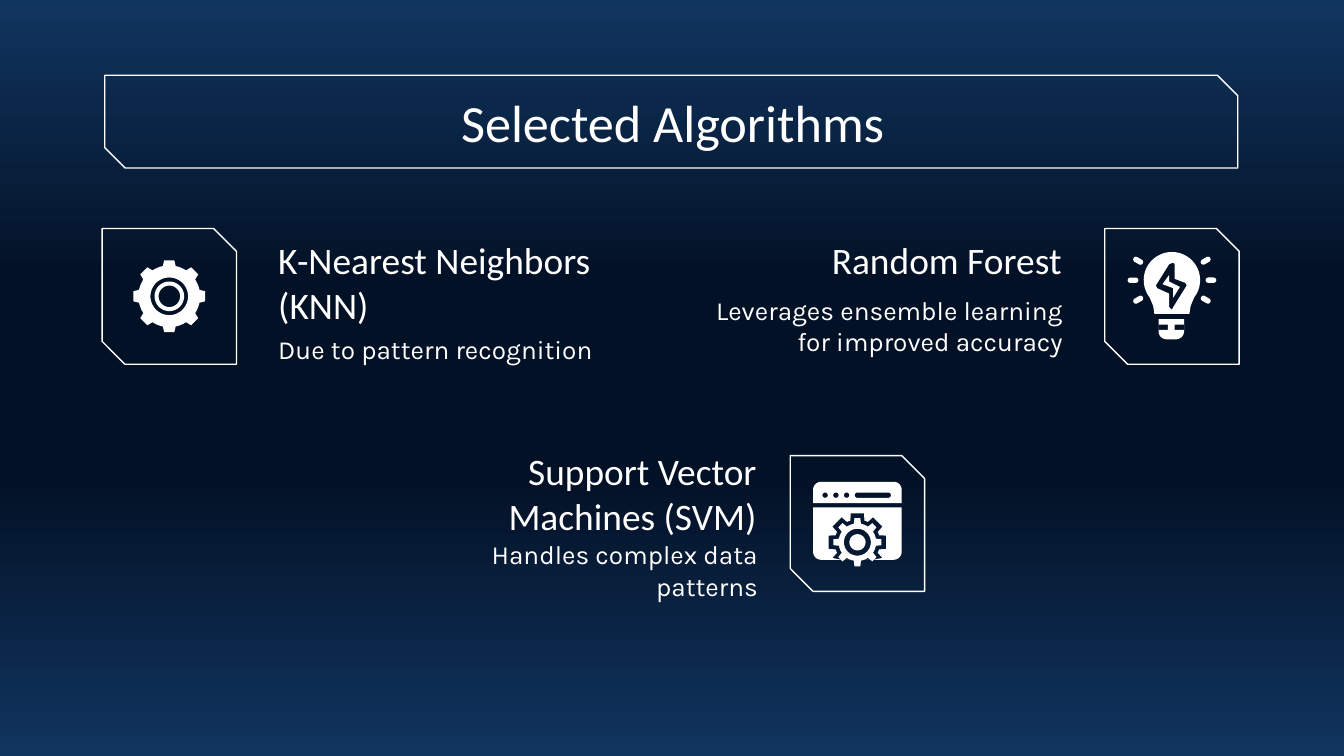
import copy
import math

import pptx
import pptx.dml.color
import pptx.enum.shapes
import pptx.enum.text
import pptx.oxml.ns
import pptx.util

Inches = pptx.util.Inches
Shape = pptx.enum.shapes.MSO_SHAPE
Anchor = pptx.enum.text.MSO_ANCHOR
Align = pptx.enum.text.PP_ALIGN

WHITE = pptx.dml.color.RGBColor(0xFF, 0xFF, 0xFF)
BLUE = pptx.dml.color.RGBColor(0x10, 0x35, 0x5F)
NAVY = pptx.dml.color.RGBColor(0x03, 0x11, 0x26)
PAGE_WIDTH = 10
PAGE_HEIGHT = PAGE_WIDTH * 9 / 16
FRAME_WIDTH, FRAME_HEIGHT = 1, 1.01


def add_text(page, box, text, font="Calibri", size=20, align=Align.LEFT,
             anchor=Anchor.TOP, side_inset=0):
    frame = page.shapes.add_textbox(*map(Inches, box)).text_frame
    frame.word_wrap = True
    frame.vertical_anchor = anchor
    frame.margin_left = frame.margin_right = Inches(side_inset)
    frame.margin_top = frame.margin_bottom = Inches(0.1)
    para = frame.paragraphs[0]
    para.alignment = align
    span = para.add_run()
    span.text = text
    span.font.name = font
    span.font.size = pptx.util.Pt(size)
    span.font.color.rgb = WHITE


def add_frame(page, box, snip):
    frame = page.shapes.add_shape(Shape.SNIP_2_DIAG_RECTANGLE, *map(Inches, box))
    frame.adjustments[0] = 0
    frame.adjustments[1] = snip
    frame.shadow.inherit = False
    frame.fill.background()
    frame.line.color.rgb = WHITE
    frame.line.width = pptx.util.Pt(0.75)


def fill_white(shape):
    shape.shadow.inherit = False
    shape.fill.solid()
    shape.fill.fore_color.rgb = WHITE
    shape.line.fill.background()


def add_outline(page, x, y, *contours):
    """Draw contours, given around (x, y), as one shape; inner contours are holes."""
    builder = None
    for contour in contours:
        points = [(Inches(x + dx), Inches(y + dy)) for dx, dy in contour]
        if builder is None:
            builder = page.shapes.build_freeform(*points[0])
        else:
            builder.move_to(*points[0])
        builder.add_line_segments(points[1:], close=True)
    fill_white(builder.convert_to_shape())


def polar(radius, degrees, y=0):
    angle = math.radians(degrees)
    return radius * math.cos(angle), y + radius * math.sin(angle)


def circle(radius, y=0):
    return [polar(radius, degrees, y) for degrees in range(0, 360, 6)]


def rounded_box(left, top, width, height, top_radius=0, bottom_radius=0):
    right, bottom = left + width, top + height
    corners = [(right, bottom, -1, -1, bottom_radius, 0),
               (left, bottom, 1, -1, bottom_radius, 90),
               (left, top, 1, 1, top_radius, 180),
               (right, top, -1, 1, top_radius, 270)]
    points = []
    for x, y, inward_x, inward_y, radius, start in corners:
        for degrees in range(start, start + 91, 15):
            dx, dy = polar(radius, degrees)
            points.append((x + inward_x * radius + dx, y + inward_y * radius + dy))
    return points


def gear(body, tip, body_half, tip_half, y=0):
    """Eight-tooth outline; the half widths of a tooth are in degrees."""
    points = []
    for middle in range(0, 360, 45):
        points += [polar(body, middle - body_half, y),
                   polar(tip, middle - tip_half, y),
                   polar(tip, middle + tip_half, y)]
        gap = 45 - 2 * body_half
        points += [polar(body, middle + body_half + gap * step / 4, y)
                   for step in range(4)]
    return points


def draw_gear(page, x, y):
    add_outline(page, x, y, gear(0.23, 0.27, 12, 8), circle(0.14))
    add_outline(page, x, y, circle(0.11), circle(0.08))


def draw_bulb(page, x, y):
    globe_y = -0.12
    for degrees in (-30, 0, 30, 150, 180, 210):
        dx, dy = polar(0.29, degrees, globe_y)
        ray = page.shapes.add_shape(
            Shape.ROUNDED_RECTANGLE, Inches(x + dx - 0.04),
            Inches(y + dy - 0.02), Inches(0.08), Inches(0.04))
        ray.adjustments[0] = 0.5
        ray.rotation = degrees
        fill_white(ray)
    globe = [polar(0.21, degrees, globe_y) for degrees in range(142, 399, 8)]
    globe += [(0.14, 0.07), (0.13, 0.13), (-0.13, 0.13), (-0.14, 0.07)]
    bolt_edge = [(0.01, -0.25), (0.02, -0.24), (0.02, -0.13), (0.1, -0.1),
                 (0.11, -0.08), (0.01, 0.08), (0, 0.1), (-0.02, 0.08),
                 (-0.02, -0.02), (-0.11, -0.06), (-0.12, -0.08), (-0.02, -0.24)]
    bolt = [(-0.02, -0.16), (-0.07, -0.09), (0.01, -0.06), (0.01, 0.01),
            (0.06, -0.07), (-0.02, -0.11)]
    add_outline(page, x, y, globe, bolt_edge, bolt)
    add_outline(page, x, y, rounded_box(-0.1, 0.17, 0.19, 0.15, 0, 0.06),
                rounded_box(-0.1, 0.21, 0.07, 0.04),
                rounded_box(0.02, 0.21, 0.07, 0.04))


def draw_window(page, x, y):
    left, width, bottom, gear_y = -0.33, 0.66, 0.27, 0.14
    dots = [rounded_box(dot - 0.02, -0.23, 0.04, 0.04, 0.02, 0.02)
            for dot in (-0.24, -0.16, -0.08)]
    bar = rounded_box(-0.02, -0.23, 0.27, 0.04, 0.02, 0.02)
    add_outline(page, x, y, rounded_box(left, -0.31, width, 0.16, 0.06), *dots, bar)
    cutout = [(dx, min(dy, bottom)) for dx, dy in gear(0.17, 0.22, 18, 13, gear_y)]
    add_outline(page, x, y, rounded_box(left, -0.12, width, bottom + 0.12, 0, 0.06),
                cutout)
    add_outline(page, x, y, gear(0.14, 0.18, 11, 7, gear_y), circle(0.1, gear_y))
    add_outline(page, x, y, circle(0.06, gear_y))


def add_algorithm(page, left, top, draw_icon, heading, heading_box, note, note_box, align):
    """Framed icon at (left, top); the text boxes are relative to that corner."""
    add_frame(page, (left, top, FRAME_WIDTH, FRAME_HEIGHT), 0.17)
    draw_icon(page, left + FRAME_WIDTH / 2, top + FRAME_HEIGHT / 2)

    def place(box):
        return left + box[0], top + box[1], box[2], box[3]

    add_text(page, place(heading_box), heading, align=align, anchor=Anchor.BOTTOM)
    add_text(page, place(note_box), note, font="Karla", size=14, align=align)


def add_title(page, left, top, width, height):
    add_frame(page, (left, top, width, height), 0.22)
    add_text(page, (left + 0.01, top + 0.03, width, height - 0.06), "Selected Algorithms",
             size=28, align=Align.CENTER, anchor=Anchor.MIDDLE, side_inset=0.1)


def paint_background(page):
    fill = page.background.fill
    fill.gradient()
    fill.gradient_angle = 270
    stop_list = page.element.find(".//" + pptx.oxml.ns.qn("a:gsLst"))
    for stop in list(stop_list):
        stop_list.append(copy.deepcopy(stop))
    colours = [(0, BLUE), (0.37, NAVY), (0.63, NAVY), (1, BLUE)]
    for stop, (position, colour) in zip(fill.gradient_stops, colours):
        stop.position = position
        stop.color.rgb = colour


def main():
    deck = pptx.Presentation()
    deck.slide_width, deck.slide_height = Inches(PAGE_WIDTH), Inches(PAGE_HEIGHT)
    page = deck.slides.add_slide(deck.slide_layouts[6])
    paint_background(page)
    add_title(page, 0.78, 0.56, 8.43, 0.69)
    add_algorithm(page, 0.76, 1.7, draw_gear,
                  "K-Nearest Neighbors (KNN)", (1.31, 0.33, 2.69, 0.5),
                  "Due to pattern recognition", (1.31, 0.68, 2.53, 0.53), Align.LEFT)
    add_algorithm(page, 8.22, 1.7, draw_bulb,
                  "Random Forest", (-2.86, 0, 2.54, 0.5),
                  "Leverages ensemble learning for improved accuracy",
                  (-3.01, 0.39, 2.7, 0.53), Align.RIGHT)
    add_algorithm(page, 5.88, 3.39, draw_window,
                  "Support Vector Machines (SVM)", (-2.79, 0.21, 2.54, 0.5),
                  "Handles complex data patterns", (-2.78, 0.52, 2.54, 0.53), Align.RIGHT)
    deck.save("out.pptx")


if __name__ == "__main__":
    main()
